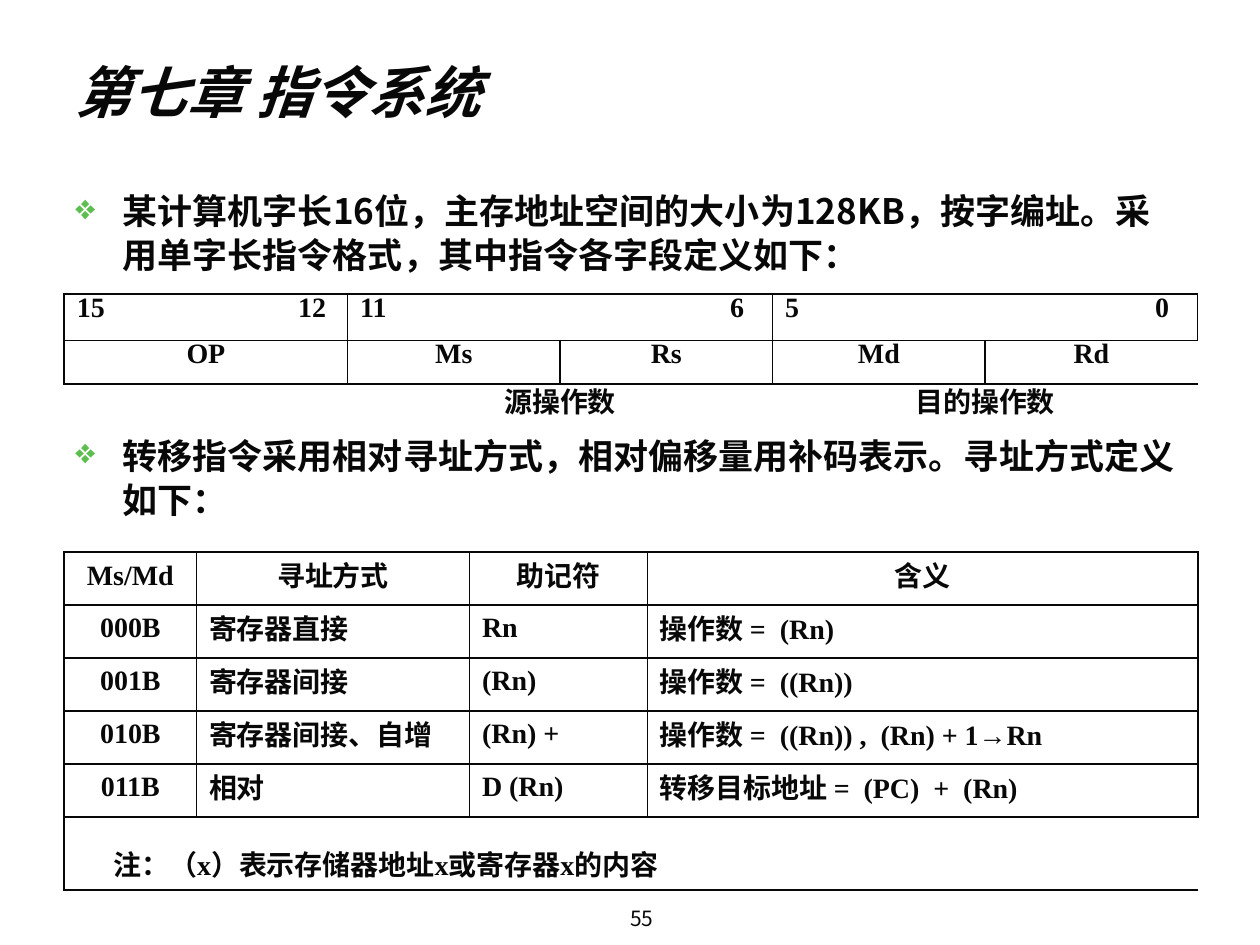
"""Build the slide on instruction formats and addressing modes."""
import pptx
import pptx.dml.color
import pptx.enum.text
import pptx.oxml
import pptx.oxml.ns
import pptx.util

Pt = pptx.util.Pt
ALIGN = pptx.enum.text.PP_ALIGN
ANCHOR = pptx.enum.text.MSO_ANCHOR
INK, GREEN, WHITE = "080808", "5BBE4E", "FFFFFF"
HAN, ROMAN = "Noto Sans CJK SC", "Times New Roman"
TIGHT = {"line_spacing": 0.7, "space_before": Pt(4.8)}
LEFT, MID = {"alignment": ALIGN.LEFT}, {"alignment": ALIGN.CENTER}


def color(code):
    """Return the colour for a hex string."""
    return pptx.dml.color.RGBColor.from_string(code)


def apply(target, values):
    """Set each attribute named in the dict."""
    for name, value in values.items():
        setattr(target, name, value)


def make(tag, body="", attrs=""):
    """Make one DrawingML element."""
    space = pptx.oxml.ns.nsdecls("a")
    return pptx.oxml.parse_xml(f"<a:{tag} {space} {attrs}>{body}</a:{tag}>")


def write(para, text, font, style):
    """Fill a paragraph with one formatted run."""
    apply(para, style)
    run = para.add_run()
    run.text = text
    apply(run.font, font)
    run.font.color.rgb = color(INK)
    run.font._element.append(make("ea", attrs=f'typeface="{HAN}"'))


def indent(para, margin, first, mark=None):
    """Set the indents and an optional bullet of a paragraph."""
    props = para._p.get_or_add_pPr()
    props.set("marL", str(Pt(margin)))
    props.set("indent", str(Pt(first)))
    if mark:
        props.append(make("buClr", f'<a:srgbClr val="{GREEN}"/>'))
        props.append(make("buChar", attrs=f'char="{mark}"'))


def box(slide, place, anchor):
    """Add a wrapping text box and return its frame."""
    frame = slide.shapes.add_textbox(*map(Pt, place)).text_frame
    apply(frame, {"word_wrap": True, "vertical_anchor": anchor})
    return frame


def border(cell, sides):
    """Draw the named sides of a cell and clear the others."""
    props = cell._tc.get_or_add_tcPr()
    for side in "LRTB":
        ink = f'<a:solidFill><a:srgbClr val="{INK}"/></a:solidFill>'
        body = ink if side in sides else "<a:noFill/>"
        props.append(make(f"ln{side}", body, f'w="{Pt(1)}"'))


def grid(slide, place, widths, heights):
    """Add a table with the given columns and rows."""
    shape = slide.shapes.add_table(len(heights), len(widths), *map(Pt, place))
    table = shape.table
    apply(table, {"first_row": False, "horz_banding": False})
    for col, width in zip(table.columns, widths):
        col.width = Pt(width)
    for row, height in zip(table.rows, heights):
        row.height = Pt(height)
    return table


def frame_row(table, row, starts, anchor, rules="TB", walls=True):
    """Format a row whose blocks begin at the given columns."""
    ends = starts[1:] + [len(table.columns)]
    for col in range(len(table.columns)):
        cell = table.cell(row, col)
        left = "L" if walls and col in starts else ""
        right = "R" if walls and col + 1 in ends else ""
        border(cell, rules + left + right)
        cell.fill.solid()
        cell.fill.fore_color.rgb = color(WHITE)
        cell.vertical_anchor = anchor
        para = cell.text_frame.paragraphs[0]
        apply(para, TIGHT)
        para._p.get_or_add_endParaRPr().set("sz", "1600")


def join(table, row, starts):
    """Merge each block of a row into one cell."""
    ends = starts[1:] + [len(table.columns)]
    for first, end in zip(starts, ends):
        if end - first > 1:
            table.cell(row, first).merge(table.cell(row, end - 1))


def put(table, row, col, text, style):
    """Write text into a table cell."""
    para = table.cell(row, col).text_frame.paragraphs[0]
    font = {"size": Pt(16), "name": ROMAN, "bold": True}
    write(para, text, font, {**TIGHT, **style})
    return para


def format_grid(slide):
    """Add the table of instruction fields."""
    table = grid(slide, (36.7, 168, 648, 79), [40.5] * 16, [24.9, 24.9, 29])
    groups, fields = [0, 4, 10], [0, 4, 7, 10, 13]
    frame_row(table, 0, groups, ANCHOR.TOP)
    frame_row(table, 1, fields, ANCHOR.TOP)
    frame_row(table, 2, groups, ANCHOR.TOP, "T", False)
    join(table, 1, fields)
    join(table, 2, groups)
    bits = {0: "15", 3: "12", 4: "11", 9: "6", 10: "5", 15: "0"}
    for col, text in bits.items():
        style = {"alignment": ALIGN.JUSTIFY} if col in groups else MID
        put(table, 0, col, text, style)
    for col, text in zip(fields, ["OP", "Ms", "Rs", "Md", "Rd"]):
        put(table, 1, col, text, MID)
    for col, text in zip(groups[1:], ["源操作数", "目的操作数"]):
        put(table, 2, col, text, MID)


def mode_grid(slide):
    """Add the table of addressing modes."""
    rows = [
        ["Ms/Md", "寻址方式", "助记符", "含义"],
        ["000B", "寄存器直接", "Rn", "操作数 =  (Rn)"],
        ["001B", "寄存器间接", "(Rn)", "操作数 =  ((Rn))"],
        ["010B", "寄存器间接、自增", "(Rn) +", "操作数 =  ((Rn)) ,  (Rn) + 1→Rn"],
        ["011B", "相对", "D (Rn)", "转移目标地址 =  (PC)  +  (Rn)"],
    ]
    widths, heights = [75.6, 156, 101.6, 314.8], [30.3] * 5 + [41.7]
    table = grid(slide, (36.7, 315.4, 648, 193.2), widths, heights)
    for row, texts in enumerate(rows):
        frame_row(table, row, [0, 1, 2, 3], ANCHOR.MIDDLE)
        for col, text in enumerate(texts):
            put(table, row, col, text, LEFT if row and col else MID)
    last = len(rows)
    frame_row(table, last, [0], ANCHOR.MIDDLE)
    join(table, last, [0])
    loose = {"line_spacing": 1.5, "space_before": Pt(0)}
    note = put(table, last, 0, "注：（x）表示存储器地址x或寄存器x的内容", loose)
    indent(note, 0, 20.9)


def bullets(slide):
    """Add the two bulleted statements."""
    texts = [
        "某计算机字长16位，主存地址空间的大小为128KB，按字编址。采用单字长指令格式，其中指令各字段定义如下：",
        "转移指令采用相对寻址方式，相对偏移量用补码表示。寻址方式定义如下：",
    ]
    frame = box(slide, (36, 104, 648, 396), ANCHOR.TOP)
    font = {"size": Pt(20), "name": HAN, "bold": True}
    paras = [frame.paragraphs[0], frame.add_paragraph()]
    for para, text, gap in zip(paras, texts, [0, 90]):
        write(para, text, font, {"line_spacing": 1.04, "space_before": Pt(gap)})
        indent(para, 27, -27, "❖")


def main():
    """Build and save the slide."""
    deck = pptx.Presentation()
    apply(deck, {"slide_width": Pt(720), "slide_height": Pt(540)})
    slide = deck.slides.add_slide(deck.slide_layouts[6])
    title = box(slide, (36, 18, 648, 68.4), ANCHOR.MIDDLE)
    font = {"size": Pt(32), "name": HAN, "bold": True, "italic": True}
    write(title.paragraphs[0], "第七章 指令系统", font, LEFT)
    bullets(slide)
    number = box(slide, (252.7, 514.8, 228, 19.4), ANCHOR.MIDDLE)
    write(number.paragraphs[0], "55", {"size": Pt(12), "name": HAN}, MID)
    mode_grid(slide)
    format_grid(slide)
    deck.save("out.pptx")


if __name__ == "__main__":
    main()
